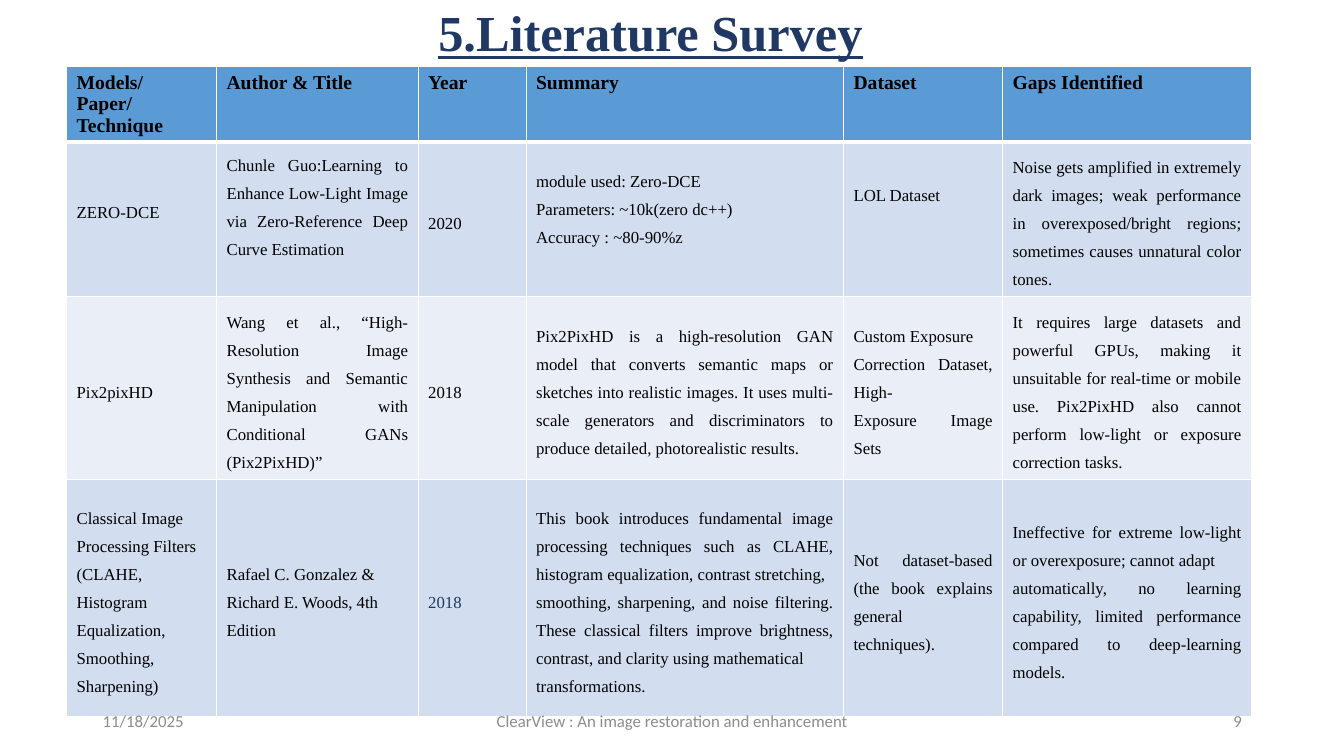
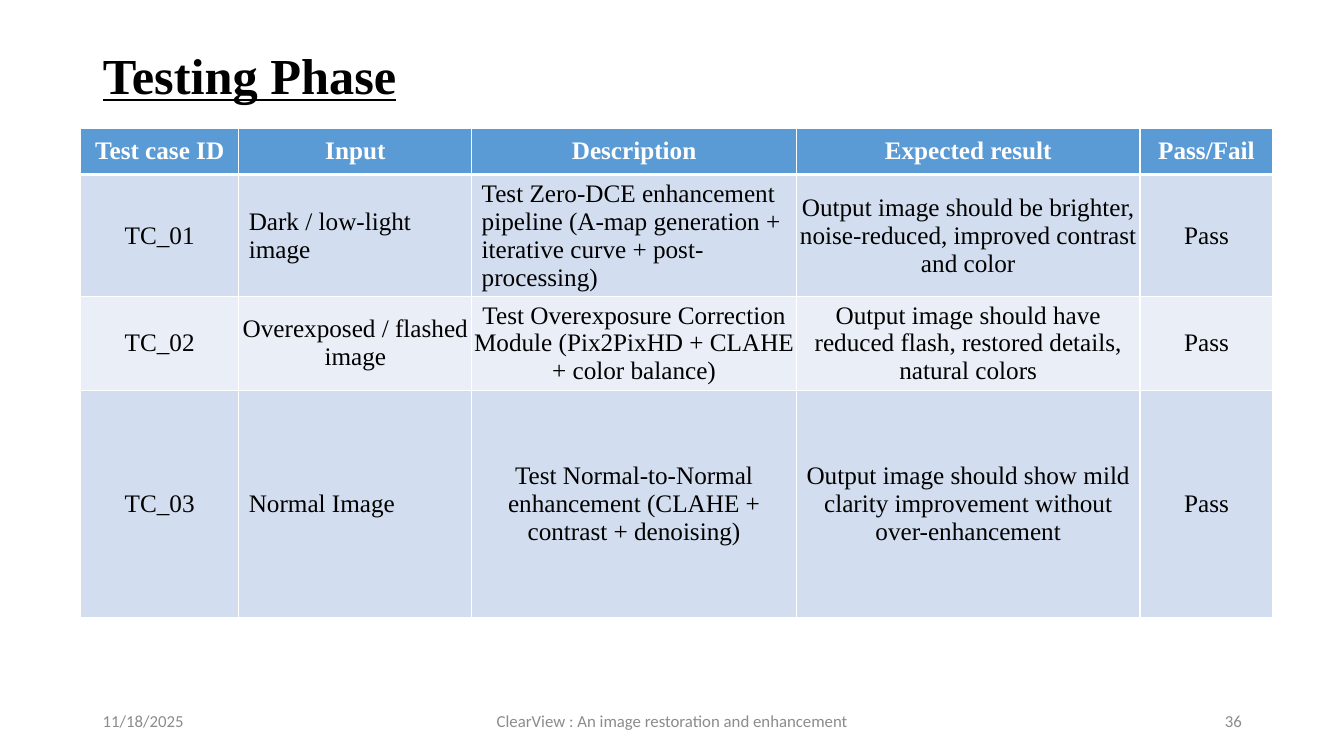
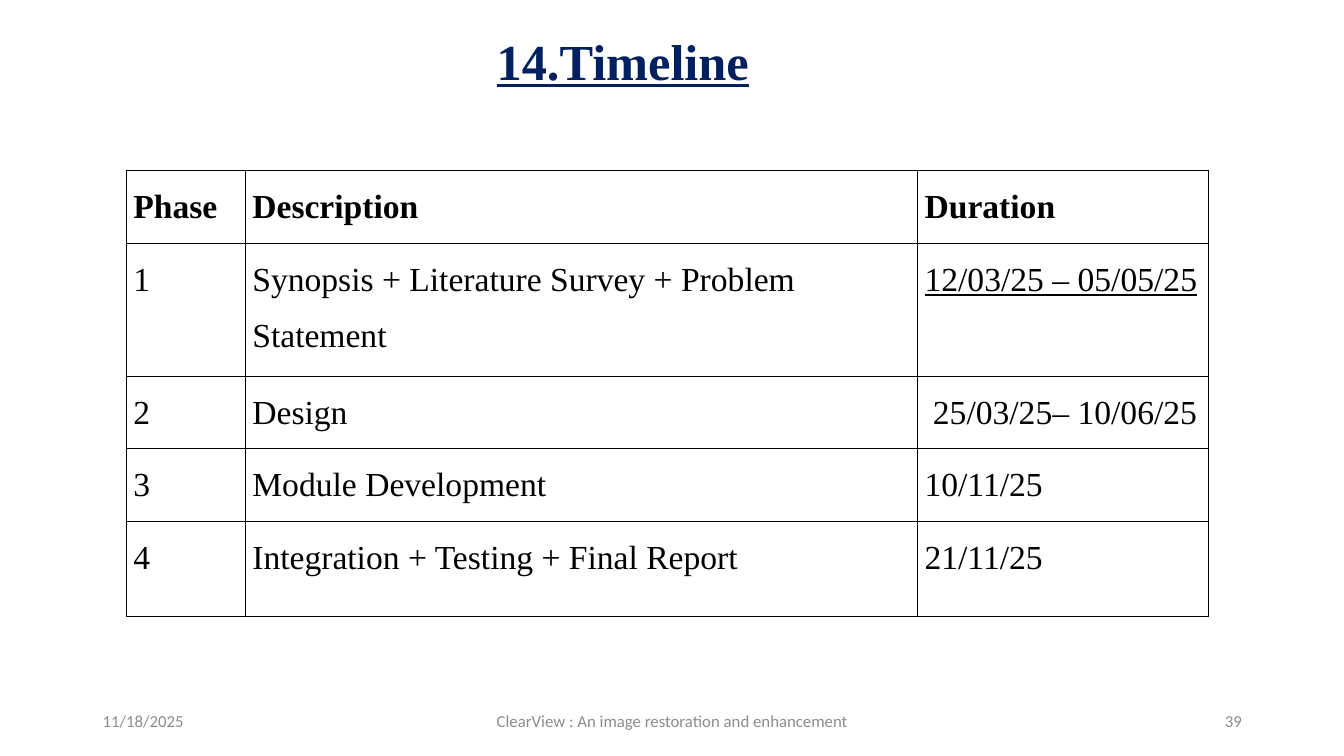
"""Build three project review slides: literature survey, testing phase and timeline."""
from dataclasses import dataclass, field

from lxml import etree
from pptx import Presentation
from pptx.dml.color import RGBColor
from pptx.enum import text as t
from pptx.oxml import ns
from pptx.util import Cm, Pt

WHITE = RGBColor(0xFF, 0xFF, 0xFF)
BLACK = RGBColor(0x00, 0x00, 0x00)
NAVY = RGBColor(0x20, 0x38, 0x64)
DEEP_NAVY = RGBColor(0x00, 0x20, 0x60)
HEADER_BLUE = RGBColor(0x5B, 0x9B, 0xD5)
BANDS = (RGBColor(0xD2, 0xDE, 0xEF), RGBColor(0xEA, 0xEF, 0xF7))
GREY = RGBColor(0x8C, 0x8C, 0x8C)
SERIF = "Times New Roman"
SANS = "Calibri"
LEFT, CENTER, RIGHT, JUSTIFY = (
    t.PP_ALIGN.LEFT, t.PP_ALIGN.CENTER, t.PP_ALIGN.RIGHT, t.PP_ALIGN.JUSTIFY)
TOP, MIDDLE = t.MSO_ANCHOR.TOP, t.MSO_ANCHOR.MIDDLE

SURVEY_ROWS = [
    ["Models/Paper/Technique", "Author & Title", "Year", "Summary", "Dataset",
     "Gaps Identified"],
    ["ZERO-DCE",
     "Chunle Guo:Learning to Enhance Low-Light Image via Zero-Reference Deep Curve Estimation",
     "2020",
     "module used: Zero-DCE\nParameters: ~10k(zero dc++)\nAccuracy : ~80-90%z",
     "LOL Dataset",
     "Noise gets amplified in extremely dark images; weak performance in "
     "overexposed/bright regions; sometimes causes unnatural color tones."],
    ["Pix2pixHD",
     "Wang et al., “High-Resolution Image Synthesis and Semantic Manipulation "
     "with Conditional GANs (Pix2PixHD)”",
     "2018",
     "Pix2PixHD is a high-resolution GAN model that converts semantic maps or "
     "sketches into realistic images. It uses multi-scale generators and "
     "discriminators to produce detailed, photorealistic results.",
     "Custom Exposure\nCorrection Dataset, High-\nExposure Image Sets",
     "It requires large datasets and powerful GPUs, making it unsuitable for "
     "real-time or mobile use. Pix2PixHD also cannot perform low-light or "
     "exposure correction tasks."],
    ["Classical Image\nProcessing Filters\n(CLAHE, Histogram\n"
     "Equalization, Smoothing,\nSharpening)",
     "Rafael C. Gonzalez &\nRichard E. Woods, 4th\nEdition",
     "2018",
     "This book introduces fundamental image processing techniques such as "
     "CLAHE, histogram equalization, contrast stretching,\n"
     "smoothing, sharpening, and noise filtering. These classical filters improve "
     "brightness, contrast, and clarity using mathematical\ntransformations.",
     "Not dataset-based (the book explains general\ntechniques).",
     "Ineffective for extreme low-light or overexposure; cannot adapt\n"
     "automatically, no learning capability, limited performance compared to "
     "deep-learning models."],
]
TESTING_ROWS = [
    ["Test case ID", "Input", "Description", "Expected result", "Pass/Fail"],
    ["TC_01", "Dark / low-light image",
     "Test Zero-DCE enhancement pipeline (A-map generation + iterative curve + "
     "post-processing)",
     "Output image should be brighter, noise-reduced, improved contrast and color",
     "Pass"],
    ["TC_02", "Overexposed / flashed image",
     "Test Overexposure Correction Module (Pix2PixHD + CLAHE + color balance)",
     "Output image should have reduced flash, restored details, natural colors",
     "Pass"],
    ["TC_03", "Normal Image",
     "Test Normal-to-Normal enhancement (CLAHE + contrast + denoising)",
     "Output image should show mild clarity improvement without over-enhancement",
     "Pass"],
]
TIMELINE_ROWS = [
    ["Phase", "Description", "Duration"],
    ["1", "Synopsis + Literature Survey + Problem Statement", "12/03/25 – 05/05/25"],
    ["2", "Design", "25/03/25– 10/06/25"],
    ["3", "Module Development", "10/11/25"],
    ["4", "Integration + Testing + Final Report", "21/11/25"],
]


@dataclass(frozen=True)
class CellStyle:
    """Look of one table cell; margins are left, top, right, bottom in centimetres."""
    size: float
    color: RGBColor = BLACK
    bold: bool = False
    underline: bool = False
    align: t.PP_ALIGN = LEFT
    anchor: t.MSO_ANCHOR = MIDDLE
    spacing: float = 1.0
    margins: tuple = (0.25, 0.13, 0.25, 0.13)


@dataclass(frozen=True)
class Grid:
    """Place, sizes and borders of one table, in centimetres and points."""
    left: float
    top: float
    columns: tuple
    rows: tuple
    line: RGBColor = WHITE
    width: float = 1
    header_width: float = 3
    header_fill: RGBColor = HEADER_BLUE
    bands: tuple = BANDS
    special: dict = field(default_factory=dict)


def add_span(para, words, font, size, color, bold=False, underline=False):
    """Add one formatted run to a paragraph."""
    span = para.add_run()
    span.text = words
    span.font.name = font
    span.font.size = Pt(size)
    span.font.color.rgb = color
    span.font.bold = bold
    span.font.underline = underline


def add_heading(slide, words, place, color, align):
    """Move the title placeholder and fill it with the shared title style."""
    title = slide.shapes.title
    title.left, title.top, title.width, title.height = map(Cm, place)
    frame = title.text_frame
    frame.auto_size = t.MSO_AUTO_SIZE.NONE
    frame.word_wrap = True
    frame.vertical_anchor = MIDDLE
    para = frame.paragraphs[0]
    para.alignment = align
    para.line_spacing = 0.9
    add_span(para, words, SERIF, 36, color, bold=True, underline=True)


def add_footer(slide, number):
    """Add the date, the project name and the page number."""
    parts = (("11/18/2025", 2.34, 7.62, LEFT),
             ("ClearView : An image restoration and enhancement", 11.23, 11.43, CENTER),
             (str(number), 23.93, 7.62, RIGHT))
    for words, left, width, align in parts:
        box = slide.shapes.add_textbox(Cm(left), Cm(17.65), Cm(width), Cm(1.02))
        box.text_frame.word_wrap = True
        box.text_frame.vertical_anchor = MIDDLE
        para = box.text_frame.paragraphs[0]
        para.alignment = align
        add_span(para, words, SANS, 12, GREY)


def set_borders(cell, color, widths):
    """Draw the left, right, top and bottom borders of a cell."""
    properties = cell._tc.get_or_add_tcPr()
    for side, width in zip("LRTB", widths):
        line = etree.SubElement(properties, ns.qn(f"a:ln{side}"), w=str(Pt(width)))
        fill = etree.SubElement(line, ns.qn("a:solidFill"))
        etree.SubElement(fill, ns.qn("a:srgbClr"), val=str(color))


def fill_cell(cell, words, style):
    """Write the lines of a cell as paragraphs in the given style."""
    cell.margin_left, cell.margin_top, cell.margin_right, cell.margin_bottom = map(
        Cm, style.margins)
    cell.vertical_anchor = style.anchor
    frame = cell.text_frame
    for index, line in enumerate(words.split("\n")):
        para = frame.add_paragraph() if index else frame.paragraphs[0]
        para.alignment = style.align
        para.line_spacing = style.spacing
        add_span(para, line, SERIF, style.size, style.color, style.bold, style.underline)


def add_grid(slide, rows, grid, header, body):
    """Add a table with a header row and banded body rows."""
    table = slide.shapes.add_table(
        len(rows), len(grid.columns), Cm(grid.left), Cm(grid.top),
        Cm(sum(grid.columns)), Cm(sum(grid.rows))).table
    table.first_row = table.horz_banding = False
    for column, width in zip(table.columns, grid.columns):
        column.width = Cm(width)
    for r, (row, height) in enumerate(zip(rows, grid.rows)):
        table.rows[r].height = Cm(height)
        above = grid.header_width if r == 1 else grid.width
        below = grid.header_width if r == 0 else grid.width
        for c, words in enumerate(row):
            cell = table.cell(r, c)
            set_borders(cell, grid.line, (grid.width, grid.width, above, below))
            if grid.bands:
                cell.fill.solid()
                cell.fill.fore_color.rgb = (
                    grid.bands[(r - 1) % len(grid.bands)] if r else grid.header_fill)
            else:
                cell.fill.background()
            fill_cell(cell, words, grid.special.get((r, c), body if r else header))


def add_survey(slide):
    """Fill the literature survey slide."""
    add_heading(slide, "5.Literature Survey", (5.13, 0, 22.53, 1.78), NAVY, CENTER)
    look = dict(size=12, align=JUSTIFY, spacing=1.5)
    special = {
        (1, 0): CellStyle(**look, anchor=TOP, margins=(0.25, 1.32, 0.25, 0.13)),
        (1, 1): CellStyle(**look, anchor=TOP),
        (1, 3): CellStyle(**look, margins=(0.25, 0.13, 0.25, 0.84)),
        (1, 4): CellStyle(**look, margins=(0.25, 0.13, 0.25, 1.54)),
        (3, 2): CellStyle(**look, color=NAVY),
    }
    grid = Grid(1.68, 1.68, (3.78, 5.08, 2.72, 8, 4.01, 6.27),
                (1.4, 3.89, 4.62, 5.97), special=special)
    add_grid(slide, SURVEY_ROWS, grid, CellStyle(14, bold=True, anchor=TOP),
             CellStyle(**look))


def add_testing(slide):
    """Fill the testing phase slide."""
    add_heading(slide, "Testing Phase", (2.34, 1.02, 29.21, 1.9), BLACK, LEFT)
    look = dict(size=18, align=CENTER, margins=(0, 0, 0, 0))
    special = dict.fromkeys([(1, 1), (1, 2), (3, 1)], CellStyle(18))
    grid = Grid(2.03, 3.23, (3.99, 5.87, 8.18, 8.66, 3.35),
                (1.17, 2.36, 2.36, 5.74), special=special)
    add_grid(slide, TESTING_ROWS, grid, CellStyle(**look, color=WHITE, bold=True),
             CellStyle(**look))


def add_timeline(slide):
    """Fill the timeline slide."""
    add_heading(slide, "14.Timeline", (1.09, -0.23, 29.21, 3.68), DEEP_NAVY, CENTER)
    look = dict(size=24, anchor=TOP, spacing=1.5)
    margins = (0.18, 0, 0.18, 0)
    special = {
        (1, 2): CellStyle(**look, underline=True, margins=margins),
        (2, 2): CellStyle(**look, margins=(0.39, 0, 0.18, 0)),
    }
    grid = Grid(3.18, 4.29, (3, 16.94, 7.34), (1.83, 3.35, 1.83, 1.83, 2.41),
                line=BLACK, width=0.5, header_width=0.5, bands=(), special=special)
    add_grid(slide, TIMELINE_ROWS, grid, CellStyle(**look, bold=True, margins=margins),
             CellStyle(**look, margins=margins))


def main():
    """Build and save the deck."""
    deck = Presentation()
    deck.slide_width, deck.slide_height = Cm(33.87), Cm(19.05)
    for build, number in ((add_survey, 9), (add_testing, 36), (add_timeline, 39)):
        slide = deck.slides.add_slide(deck.slide_layouts.get_by_name("Title Only"))
        build(slide)
        add_footer(slide, number)
    deck.save("out.pptx")


if __name__ == "__main__":
    main()
